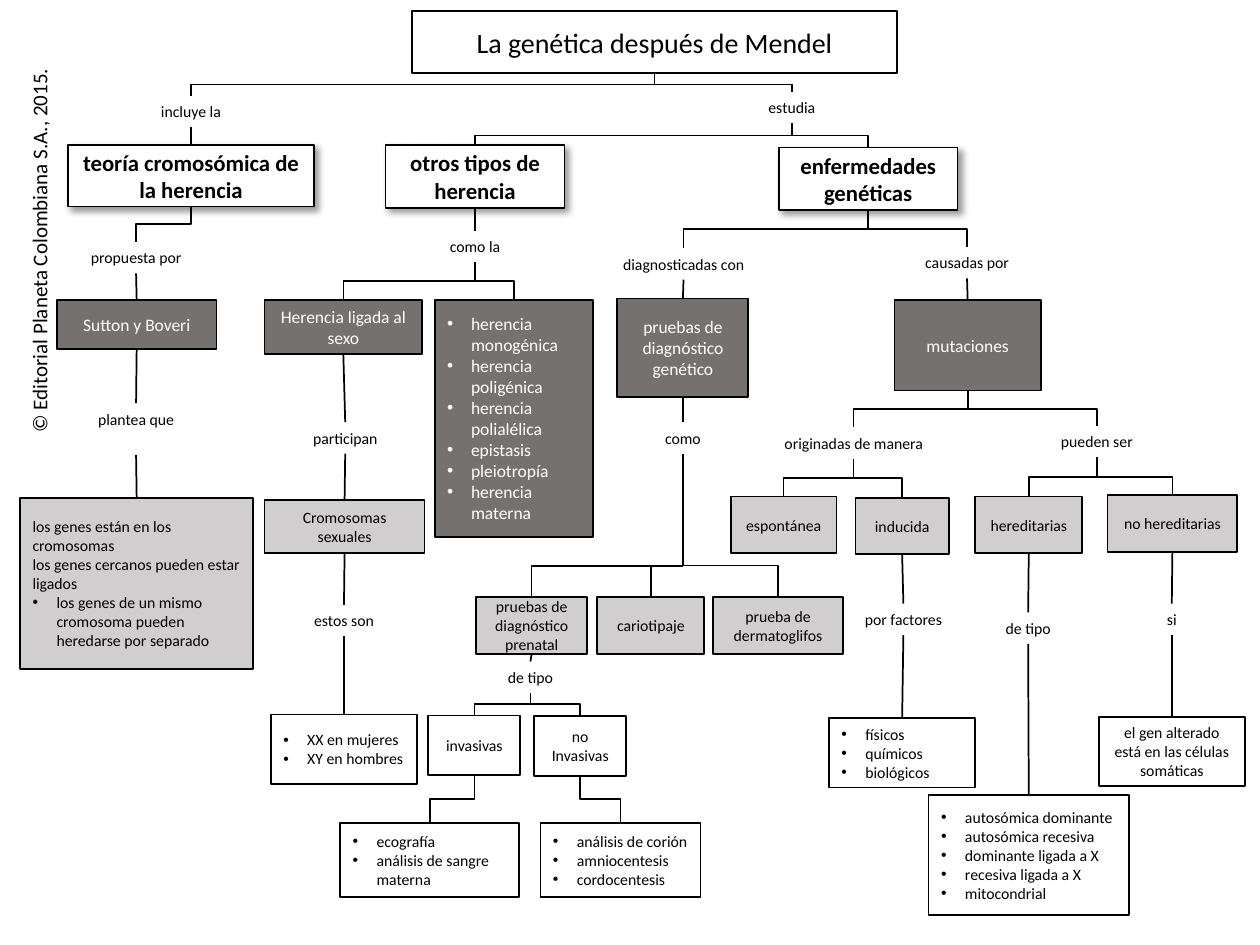
from dataclasses import dataclass

from pptx import Presentation, util as u
from pptx.dml.color import RGBColor
from pptx.enum import shapes, text
from pptx.oxml import ns, xmlchemy

COLUMNS, ROWS = 100, 75


@dataclass(frozen=True)
class Theme:
    font: str = "Calibri"
    black: str = "000000"
    white: str = "FFFFFF"
    dark: str = "767171"
    light: str = "D0CECE"
    title: float = 16
    topic: float = 13
    credit: float = 12
    concept: float = 10
    detail: float = 9
    line: float = 1


class ConceptMap:
    def __init__(self, presentation, theme):
        self.theme = theme
        self.column = presentation.slide_width / COLUMNS
        self.row = presentation.slide_height / ROWS
        self.slide = presentation.slides.add_slide(presentation.slide_layouts[5])
        self.nodes = {}
        self.styles = {
            "topic": (theme.white, theme.black, theme.topic),
            "dark": (theme.dark, theme.white, theme.concept),
            "light": (theme.light, theme.black, theme.detail),
            "white": (theme.white, theme.black, theme.detail),
        }

    def place(self, left, top, width, height):
        return [round(left * self.column), round(top * self.row),
                round(width * self.column), round(height * self.row)]

    def element(self, parent, tag, **attributes):
        child = xmlchemy.OxmlElement(tag)
        for name, value in attributes.items():
            child.set(name, str(value))
        parent.append(child)
        return child

    def outline(self, shape, fill):
        shape.fill.solid()
        shape.fill.fore_color.rgb = RGBColor.from_string(fill)
        self.stroke(shape)

    def stroke(self, shape):
        shape.line.color.rgb = RGBColor.from_string(self.theme.black)
        shape.line.width = u.Pt(self.theme.line)

    def add_text(self, shape, paragraphs, size, color, bold=False, bullets_from=None):
        frame = shape.text_frame
        frame.word_wrap = True
        frame.auto_size = text.MSO_AUTO_SIZE.NONE
        for index, words in enumerate(paragraphs):
            paragraph = frame.add_paragraph() if index else frame.paragraphs[0]
            paragraph.alignment = text.PP_ALIGN.CENTER
            if bullets_from is not None:
                paragraph.alignment = text.PP_ALIGN.LEFT
                if index >= bullets_from:
                    properties = paragraph._p.get_or_add_pPr()
                    indent = u.Inches(0.19)
                    properties.set("marL", str(indent))
                    properties.set("indent", str(-indent))
                    self.element(properties, "a:buFont", typeface="Arial")
                    self.element(properties, "a:buChar", char="•")
            run = paragraph.add_run()
            run.text = words
            run.font.name = self.theme.font
            run.font.size = u.Pt(size)
            run.font.bold = bold
            run.font.color.rgb = RGBColor.from_string(color)
        return frame

    def title(self, name, words, *place):
        shape = self.slide.shapes.title
        shape.left, shape.top, shape.width, shape.height = self.place(*place)
        self.outline(shape, self.theme.white)
        frame = self.add_text(shape, [words], self.theme.title, self.theme.black)
        frame.vertical_anchor = text.MSO_ANCHOR.MIDDLE
        self.nodes[name] = shape

    def credit(self, words, *place):
        shape = self.slide.shapes.add_textbox(*self.place(*place))
        shape.rotation = 270
        frame = self.add_text(shape, [words], self.theme.credit, self.theme.black)
        frame.word_wrap = False
        frame.paragraphs[0].alignment = text.PP_ALIGN.LEFT

    def label(self, name, words, left, top, width, height=2.5):
        shape = self.slide.shapes.add_textbox(*self.place(left, top, width, height))
        self.add_text(shape, [words], self.theme.detail, self.theme.black)
        self.nodes[name] = shape

    def box(self, name, style, words, *place, bullets_from=0):
        fill, color, size = self.styles[style]
        shape = self.slide.shapes.add_shape(shapes.MSO_SHAPE.RECTANGLE, *self.place(*place))
        shape.shadow.inherit = False
        self.outline(shape, fill)
        if style == "topic":
            self.cast_shadow(shape)
        is_list = isinstance(words, list)
        frame = self.add_text(shape, words if is_list else [words], size, color,
                              style == "topic", bullets_from if is_list else None)
        frame.vertical_anchor = text.MSO_ANCHOR.MIDDLE
        self.nodes[name] = shape

    def cast_shadow(self, shape):
        effects = shape._element.spPr.find(ns.qn("a:effectLst"))
        shadow = self.element(effects, "a:outerShdw", blurRad=u.Pt(4), dist=u.Pt(3),
                              dir=45 * 60000, algn="tl", rotWithShape=0)
        color = self.element(shadow, "a:srgbClr", val=self.theme.black)
        self.element(color, "a:alpha", val=40000)

    def connector(self, kind, *ends):
        line = self.slide.shapes.add_connector(kind, *(round(end) for end in ends))
        self.stroke(line)
        self.element(line._element.spPr, "a:effectLst")
        return line

    def middle(self, name):
        shape = self.nodes[name]
        return shape.left + shape.width / 2

    def chain(self, *names):
        for start, end in zip(names, names[1:]):
            line = self.connector(shapes.MSO_CONNECTOR.STRAIGHT, 0, 0, 0, 0)
            line.begin_connect(self.nodes[start], 2)
            line.end_connect(self.nodes[end], 0)

    def fork(self, parent, main, *others, bend=0.5):
        trunk, target = self.middle(parent), self.middle(main)
        top = self.nodes[parent].top + self.nodes[parent].height
        drop, run = self.nodes[main].top - top, abs(target - trunk)
        center_x, center_y = (trunk + target) / 2, top + drop / 2
        elbow = self.connector(shapes.MSO_CONNECTOR.ELBOW,
                               center_x - drop / 2, center_y - run / 2,
                               center_x + drop / 2, center_y + run / 2)
        frame = elbow._element.spPr.find(ns.qn("a:xfrm"))
        frame.set("rot", str((90 if target < trunk else 270) * 60000))
        if target > trunk:
            frame.set("flipH", "1")
        guides = elbow._element.spPr.find(ns.qn("a:prstGeom")).get_or_add_avLst()
        self.element(guides, "a:gd", name="adj1", fmla=f"val {round(bend * 100000)}")
        bus = top + drop * bend
        for other in others:
            corner = self.connector(shapes.MSO_CONNECTOR.ELBOW, trunk, bus,
                                    self.middle(other), self.nodes[other].top)
            corner._element.spPr.find(ns.qn("a:prstGeom")).set("prst", "bentConnector2")
        return bus

    def drop(self, bus, name):
        x = self.middle(name)
        line = self.connector(shapes.MSO_CONNECTOR.STRAIGHT, x, bus, x, self.nodes[name].top)
        line.end_connect(self.nodes[name], 0)


LABELS = [
    ("includes", "incluye la", 7.7, 7.6, 14.9),
    ("studies", "estudia", 56.5, 7.3, 12.7),
    ("proposed", "propuesta por", 3.2, 19.2, 15.2),
    ("states", "plantea que", 6.8, 32, 8, 4.1),
    ("such as", "como la", 33.2, 18.3, 9),
    ("involve", "participan", 19.8, 33.5, 15.2),
    ("these are", "estos son", 21.2, 48, 12.2),
    ("diagnosed", "diagnosticadas con", 47.5, 19.7, 13.5),
    ("caused", "causadas por", 70.3, 19.6, 12.9),
    ("as", "como", 48.5, 33.5, 11.4),
    ("prenatal type", "de tipo", 36, 52.5, 12.2),
    ("originated", "originadas de manera", 61, 33.9, 13.5),
    ("can be", "pueden ser", 80.6, 33.8, 12.9),
    ("by factors", "por factores", 65.6, 47.9, 12.2),
    ("hereditary type", "de tipo", 75.5, 48.6, 12.2),
    ("if", "si", 86.9, 47.9, 12.2),
]

BOXES = [
    ("theory", "topic", "teoría cromosómica de la herencia", 5.4, 11.5, 19.5, 4.9),
    ("other types", "topic", "otros tipos de herencia", 30.6, 11.5, 14.2, 5),
    ("diseases", "topic", "enfermedades genéticas", 61.8, 11.7, 14.2, 5),
    ("authors", "dark", "Sutton y Boveri", 4.5, 23.8, 12.7, 3.9),
    ("sex-linked", "dark", "Herencia ligada al sexo", 21, 23.8, 12.5, 4.3),
    ("inheritance", "dark", ["herencia monogénica", "herencia poligénica", "herencia polialélica",
                             "epistasis", "pleiotropía", "herencia materna"],
     34.5, 23.8, 12.6, 18.8),
    ("tests", "dark", "pruebas de diagnóstico genético", 49, 23.7, 10.4, 7.8),
    ("mutations", "dark", "mutaciones", 71, 23.8, 11.6, 7.2),
    ("chromosomes", "light", "Cromosomas sexuales", 21, 39.7, 12.7, 4.2),
    ("prenatal", "light", "pruebas de diagnóstico prenatal", 37.8, 47.4, 8.8, 4.5),
    ("karyotype", "light", "cariotipaje", 47.4, 47.4, 8.5, 4.5),
    ("dermatoglyphs", "light", "prueba de dermatoglifos", 56.6, 47.4, 10.3, 4.5),
    ("spontaneous", "light", "espontánea", 58, 39.4, 8.4, 4.5),
    ("induced", "light", "inducida", 67.9, 39.5, 7.4, 4.5),
    ("hereditary", "light", "hereditarias", 77.4, 39.4, 8.5, 4.5),
    ("not hereditary", "light", "no hereditarias", 87.9, 39.3, 10.3, 4.5),
    ("sexes", "white", ["XX en mujeres", "XY en hombres"], 21.5, 56.7, 11.6, 5.5),
    ("invasive", "white", "invasivas", 34, 56.8, 7.3, 4.7),
    ("non-invasive", "white", "no Invasivas", 42.4, 56.8, 7.3, 4.8),
    ("ultrasound", "white", ["ecografía", "análisis de sangre materna"], 27, 65.3, 14.2, 5.9),
    ("chorion", "white", ["análisis de corión", "amniocentesis", "cordocentesis"],
     42.9, 65.3, 12.7, 5.9),
    ("factors", "white", ["físicos", "químicos", "biológicos"], 65.8, 57, 11.6, 5.5),
    ("hereditary kinds", "white", ["autosómica dominante", "autosómica recesiva",
                                   "dominante ligada a X", "recesiva ligada a X",
                                   "mitocondrial"], 73.7, 63.1, 15.9, 9.5),
    ("somatic", "white", "el gen alterado está en las células somáticas",
     87.2, 56.9, 11.6, 5.5),
]

CHAINS = [
    ("includes", "theory"), ("proposed", "authors", "states", "genes"),
    ("other types", "such as"), ("diagnosed", "tests", "as"), ("caused", "mutations"),
    ("sex-linked", "involve", "chromosomes", "these are", "sexes"),
    ("prenatal", "prenatal type"), ("induced", "by factors", "factors"),
    ("hereditary", "hereditary type", "hereditary kinds"), ("not hereditary", "if", "somatic"),
]

FORKS = [
    ("title", "includes", "studies"), ("studies", "diseases", "other types"),
    ("theory", "proposed"), ("diseases", "diagnosed", "caused"),
    ("such as", "sex-linked", "inheritance"), ("mutations", "originated", "can be"),
    ("originated", "induced", "spontaneous"), ("can be", "hereditary", "not hereditary"),
    ("prenatal type", "invasive", "non-invasive"),
    ("invasive", "ultrasound"), ("non-invasive", "chorion"),
]


def main():
    presentation = Presentation()
    presentation.slide_width, presentation.slide_height = u.Inches(10), u.Inches(7.5)
    concept_map = ConceptMap(presentation, Theme())
    concept_map.credit("© Editorial Planeta Colombiana S.A., 2015.", -12.5, 18.2, 31.2, 3)
    concept_map.title("title", "La genética después de Mendel", 32.7, 0.9, 38.5, 4.9)
    for label in LABELS:
        concept_map.label(*label)
    for box in BOXES:
        concept_map.box(*box)
    concept_map.box("genes", "light", ["los genes están en los cromosomas",
                                       "los genes cercanos pueden estar ligados",
                                       "los genes de un mismo cromosoma pueden heredarse por separado"],
                    1.6, 39.5, 18.5, 13.6, bullets_from=2)
    for names in CHAINS:
        concept_map.chain(*names)
    for names in FORKS:
        concept_map.fork(*names)
    bus = concept_map.fork("as", "dermatoglyphs", "prenatal", bend=0.78)
    concept_map.drop(bus, "karyotype")
    presentation.save("out.pptx")


if __name__ == "__main__":
    main()
